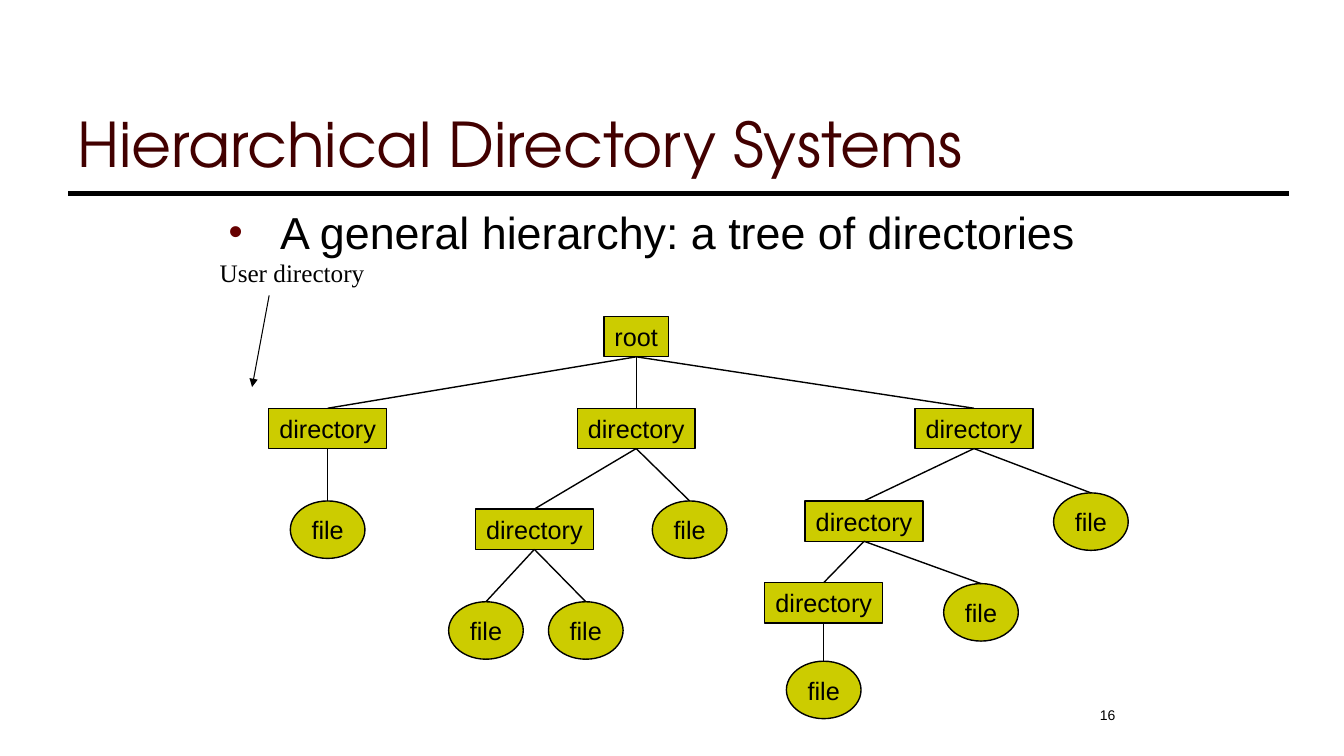
from lxml.etree import SubElement
from pptx import Presentation
from pptx.dml.color import RGBColor
from pptx.enum.shapes import MSO_CONNECTOR, MSO_SHAPE
from pptx.enum.text import MSO_ANCHOR, MSO_AUTO_SIZE, PP_ALIGN
from pptx.oxml.ns import qn
from pptx.util import Inches, Pt

THEME = {
    "title": ("TeX Gyre Adventor", 44, "420000"),
    "body": ("Arial", 32, "000000"),
    "node": ("Arial", 18, "000000"),
    "label": ("Times New Roman", 18, "000000"),
    "number": ("Arial", 10, "000000"),
    "node_fill": "CCCC00",
    "line": "000000",
    "bullet": "660000",
}

deck = Presentation()
deck.slide_width = Inches(13.33)
deck.slide_height = Inches(7.5)
page = deck.slides.add_slide(deck.slide_layouts[6])


def write(box, text, style, align=PP_ALIGN.LEFT, anchor=MSO_ANCHOR.TOP, wrap=True):
    frame = box.text_frame
    frame.word_wrap = wrap
    frame.vertical_anchor = anchor
    para = frame.paragraphs[0]
    para.alignment = align
    span = para.add_run()
    span.text = text
    name, size, color = THEME[style]
    span.font.name = name
    span.font.size = Pt(size)
    span.font.color.rgb = RGBColor.from_string(color)
    return para


def draw_line(start_x, start_y, end_x, end_y, width):
    line = page.shapes.add_connector(
        MSO_CONNECTOR.STRAIGHT, Inches(start_x), Inches(start_y), Inches(end_x), Inches(end_y)
    )
    line.line.color.rgb = RGBColor.from_string(THEME["line"])
    line.line.width = Pt(width)
    SubElement(line._element.spPr, qn("a:effectLst"))
    return line


draw_line(12.78, 1.92, 0.67, 1.92, 3)

title = page.shapes.add_textbox(Inches(0.67), Inches(0.58), Inches(12), Inches(1.25))
write(title, "Hierarchical Directory Systems", "title", anchor=MSO_ANCHOR.BOTTOM)

body = page.shapes.add_textbox(Inches(2.17), Inches(1.98), Inches(9.08), Inches(4.78))
para = write(body, "A general hierarchy: a tree of directories", "body")
properties = para._p.get_or_add_pPr()
properties.set("marL", str(Inches(0.51)))
properties.set("indent", str(-Inches(0.51)))
bullet_color = SubElement(properties, qn("a:buClr"))
SubElement(bullet_color, qn("a:srgbClr"), val=THEME["bullet"])
SubElement(properties, qn("a:buSzPct"), val="90000")
SubElement(properties, qn("a:buFont"), typeface="Arial")
SubElement(properties, qn("a:buChar"), char="•")

KINDS = {
    "root": (MSO_SHAPE.RECTANGLE, 0.64, 0.4),
    "directory": (MSO_SHAPE.RECTANGLE, 1.17, 0.4),
    "file": (MSO_SHAPE.OVAL, 0.74, 0.57),
}
TREE = [
    ("root", None, "root", 6.31, 3.14),
    ("left", "root", "directory", 3.25, 4.05),
    ("middle", "root", "directory", 6.31, 4.05),
    ("right", "root", "directory", 9.66, 4.05),
    ("left file", "left", "file", 3.25, 4.97),
    ("middle child", "middle", "directory", 5.3, 5.05),
    ("middle file", "middle", "file", 6.84, 4.97),
    ("middle child file 1", "middle child", "file", 4.82, 5.97),
    ("middle child file 2", "middle child", "file", 5.81, 5.97),
    ("right child", "right", "directory", 8.57, 4.97),
    ("right file", "right", "file", 10.82, 4.89),
    ("right grandchild", "right child", "directory", 8.17, 5.78),
    ("right child file", "right child", "file", 9.73, 5.79),
    ("right grandchild file", "right grandchild", "file", 8.17, 6.56),
]
TOP_SITE, BOTTOM_SITE = 0, 2

nodes = {}
for key, parent, kind, center, top in TREE:
    preset, width, height = KINDS[kind]
    node = page.shapes.add_shape(
        preset, Inches(center - width / 2), Inches(top), Inches(width), Inches(height)
    )
    node.shadow.inherit = False
    node.fill.solid()
    node.fill.fore_color.rgb = RGBColor.from_string(THEME["node_fill"])
    node.line.color.rgb = RGBColor.from_string(THEME["line"])
    node.line.width = Pt(1)
    write(node, kind, "node", PP_ALIGN.CENTER, MSO_ANCHOR.MIDDLE, wrap=False)
    node.text_frame.auto_size = MSO_AUTO_SIZE.SHAPE_TO_FIT_TEXT
    nodes[key] = node
    if parent:
        branch = draw_line(center, top, center, top, 1)
        branch.begin_connect(nodes[parent], BOTTOM_SITE)
        branch.end_connect(node, TOP_SITE)

label = page.shapes.add_textbox(Inches(2.08), Inches(2.5), Inches(2.47), Inches(0.4))
write(label, "User directory", "label")
arrow = draw_line(2.67, 2.93, 2.5, 3.84, 0.75)
SubElement(arrow.line._get_or_add_ln(), qn("a:tailEnd"), type="triangle")

number = page.shapes.add_textbox(Inches(9.08), Inches(6.96), Inches(2.08), Inches(0.5))
write(number, "16", "number", PP_ALIGN.RIGHT)

deck.save("out.pptx")
